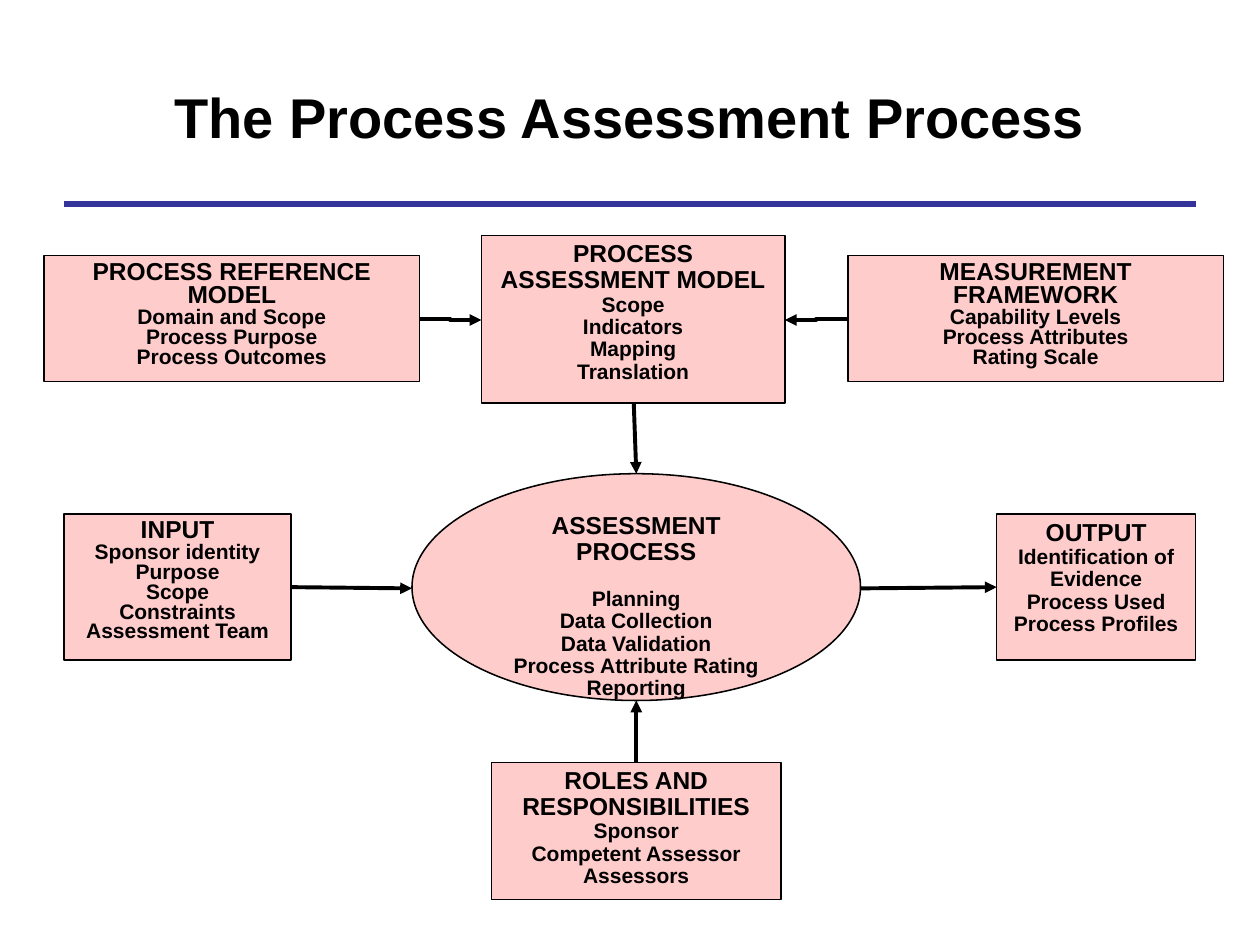
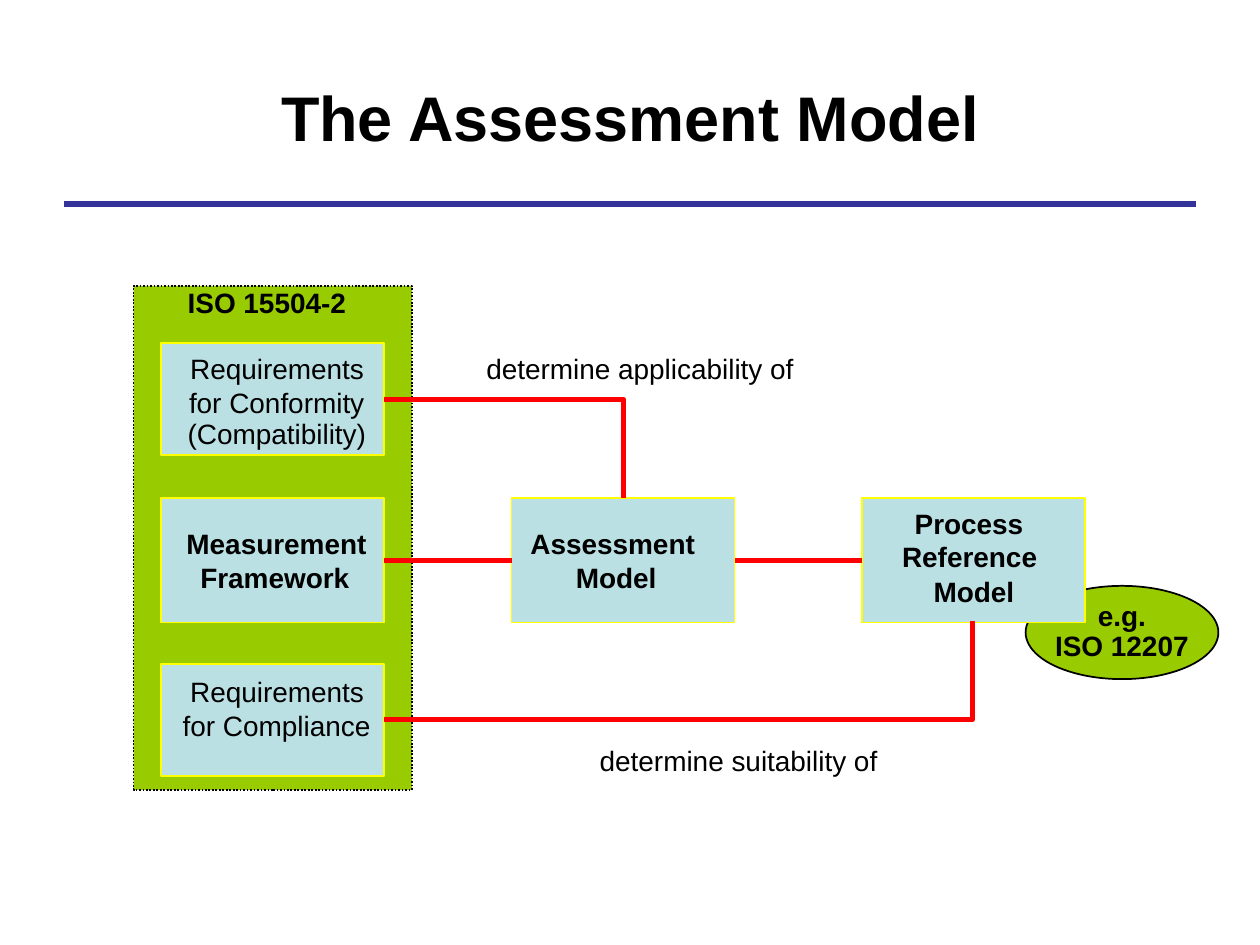
import pptx
import pptx.dml.color
import pptx.enum.dml
import pptx.enum.shapes
import pptx.enum.text
import pptx.oxml
import pptx.oxml.ns
import pptx.util

PX = 9144
FONT = "Arial"
BLACK, NAVY, RED = "000000", "333399", "FF0000"
PINK, GREEN, AQUA, YELLOW = "FFCCCC", "99CC00", "BBE0E3", "FFFF00"
RECT = pptx.enum.shapes.MSO_SHAPE.RECTANGLE
OVAL = pptx.enum.shapes.MSO_SHAPE.OVAL
ALIGN = pptx.enum.text.PP_ALIGN
ANCHOR = pptx.enum.text.MSO_ANCHOR
FIT = pptx.enum.text.MSO_AUTO_SIZE
DOTS = pptx.enum.dml.MSO_LINE.ROUND_DOT
LINK = pptx.enum.shapes.MSO_CONNECTOR


def emu(*vals):
    """Turn px lengths into EMU."""
    return [pptx.util.Emu(val * PX) for val in vals]


def tint(color, code):
    """Set a colour from a hex string."""
    color.rgb = pptx.dml.color.RGBColor.from_string(code)


def stroke(line, code, width):
    """Set the colour and width of a line."""
    tint(line.color, code)
    line.width = pptx.util.Pt(width)


def write(para, text, size, bold=True):
    """Add one run of text to a paragraph."""
    run = para.add_run()
    run.text = text
    run.font.name = FONT
    run.font.size = pptx.util.Pt(size)
    run.font.bold = bold
    tint(run.font.color, BLACK)


def fill_text(frame, rows, pitch):
    """Write centred rows of (text, size) with the given line spacing."""
    for num, (text, size) in enumerate(rows):
        para = frame.paragraphs[0] if num == 0 else frame.add_paragraph()
        para.alignment = ALIGN.CENTER
        para.line_spacing = pitch
        write(para, text, size)


def shape(slide, kind, place, fill, edge=BLACK, width=1):
    """Draw a filled, outlined shape."""
    item = slide.shapes.add_shape(kind, *emu(*place))
    item.shadow.inherit = False
    item.fill.solid()
    tint(item.fill.fore_color, fill)
    stroke(item.line, edge, width)
    return item


def node(slide, kind, place, pitch, head, rows):
    """Draw a pink node with a heading and its detail rows."""
    item = shape(slide, kind, place, PINK, BLACK, 0.88)
    frame = item.text_frame
    frame.vertical_anchor = ANCHOR.TOP
    fill_text(frame, [(head, 14)] + [(row, 12) for row in rows], pitch)
    return frame


def join(slide, ends, code, width, kind=LINK.STRAIGHT, arrow=False):
    """Draw a connector, with an arrowhead at its end if asked."""
    item = slide.shapes.add_connector(kind, *emu(*ends))
    stroke(item.line, code, width)
    props = item.element.spPr
    if arrow:
        tip = pptx.oxml.parse_xml(
            f'<a:tailEnd {pptx.oxml.ns.nsdecls("a")} type="triangle"/>')
        props.find(pptx.oxml.ns.qn("a:ln")).append(tip)
    props.append(pptx.oxml.parse_xml(
        f'<a:effectLst {pptx.oxml.ns.nsdecls("a")}/>'))


def bend(slide, *points):
    """Draw an open red line through the points."""
    pen = slide.shapes.build_freeform(*points[0], scale=PX)
    pen.add_line_segments(points[1:], close=False)
    item = pen.convert_to_shape()
    item.shadow.inherit = False
    item.fill.background()
    stroke(item.line, RED, 3)


def label(slide, left, top, width, text, bold=False):
    """Place one line of text that does not wrap."""
    frame = slide.shapes.add_textbox(*emu(left, top, width, 27)).text_frame
    frame.margin_left = frame.margin_right = 0
    frame.margin_top = frame.margin_bottom = 0
    frame.word_wrap = False
    frame.auto_size = FIT.SHAPE_TO_FIT_TEXT
    write(frame.paragraphs[0], text, 16, bold)


def start(deck, text, size):
    """Add a slide with its title and the rule under it."""
    slide = deck.slides.add_slide(deck.slide_layouts[5])
    title = slide.shapes.title
    title.left, title.top, title.width, title.height = emu(50, 30, 900, 125)
    frame = title.text_frame
    frame.auto_size = FIT.NONE
    frame.vertical_anchor = ANCHOR.MIDDLE
    frame.paragraphs[0].alignment = ALIGN.CENTER
    write(frame.paragraphs[0], text, size)
    join(slide, (51, 162, 949, 162), NAVY, 3)
    return slide


def flow(deck):
    """Build the slide on the assessment process."""
    slide = start(deck, "The Process Assessment Process", 32)
    node(slide, RECT, (390, 605, 230, 109), 0.89, "ROLES AND RESPONSIBILITIES",
         ["Sponsor", "Competent Assessor", "Assessors"])
    frame = node(slide, OVAL, (327, 376, 356, 180), 0.89, "ASSESSMENT PROCESS",
                 ["Planning", "Data Collection", "Data Validation",
                  "Process Attribute Rating", "Reporting"])
    frame.paragraphs[1].space_before = pptx.util.Pt(13)
    node(slide, RECT, (51, 408, 180, 116), 0.79, "INPUT",
         ["Sponsor identity", "Purpose", "Scope", "Constraints",
          "Assessment Team"])
    node(slide, RECT, (791, 408, 158, 116), 0.89, "OUTPUT",
         ["Identification of Evidence", "Process Used", "Process Profiles"])
    node(slide, RECT, (35, 203, 298, 100), 0.79, "PROCESS REFERENCE MODEL",
         ["Domain and Scope", "Process Purpose", "Process Outcomes"])
    node(slide, RECT, (382, 187, 241, 133), 0.89, "PROCESS ASSESSMENT MODEL",
         ["Scope", "Indicators", "Mapping", "Translation"])
    node(slide, RECT, (673, 203, 298, 100), 0.79, "MEASUREMENT FRAMEWORK",
         ["Capability Levels", "Process Attributes", "Rating Scale"])
    for ends in ((333, 253, 382, 254), (673, 253, 623, 254)):
        join(slide, ends, BLACK, 2.25, LINK.ELBOW, True)
    for ends in ((503, 320, 505, 376), (231, 466, 327, 467),
                 (683, 467, 791, 466), (505, 605, 505, 556)):
        join(slide, ends, BLACK, 2.25, arrow=True)


def model(deck):
    """Build the slide on the assessment model."""
    slide = start(deck, "The Assessment Model", 36)
    sample = shape(slide, OVAL, (814, 465, 153, 74), GREEN)
    sample.text_frame.word_wrap = False
    sample.text_frame.vertical_anchor = ANCHOR.MIDDLE
    fill_text(sample.text_frame, [("e.g.", 16), ("ISO 12207", 16)], 0.89)
    group = shape(slide, RECT, (106, 227, 221, 400), GREEN)
    group.line.dash_style = DOTS
    for left, top, high in ((128, 272, 89), (128, 395, 99), (128, 527, 89),
                            (406, 395, 99), (684, 395, 99)):
        shape(slide, RECT, (left, top, 177, high), AQUA, YELLOW)
    for left, top, width, text in (
            (149, 227, 136, "ISO 15504-2"),
            (148, 418, 149, "Measurement"), (159, 445, 124, "Framework"),
            (421, 418, 137, "Assessment"), (457, 445, 68, "Model"),
            (726, 402, 93, "Process"), (716, 428, 113, "Reference"),
            (741, 456, 68, "Model")):
        label(slide, left, top, width, text, True)
    for left, top, width, text in (
            (151, 279, 144, "Requirements"), (150, 306, 145, "for Conformity"),
            (149, 331, 146, "(Compatibility)"),
            (151, 535, 144, "Requirements"), (145, 562, 155, "for Compliance"),
            (386, 279, 250, "determine applicability of"),
            (476, 590, 227, "determine suitability of")):
        label(slide, left, top, width, text)
    bend(slide, (305, 571), (772, 571), (772, 493))
    bend(slide, (305, 317), (495, 317), (495, 395))
    for ends in ((684, 445, 583, 445), (305, 445, 406, 445)):
        join(slide, ends, RED, 3)


def main():
    """Build and save the deck."""
    deck = pptx.Presentation()
    deck.slide_width, deck.slide_height = emu(1000, 750)
    flow(deck)
    model(deck)
    deck.save("out.pptx")


if __name__ == "__main__":
    main()
